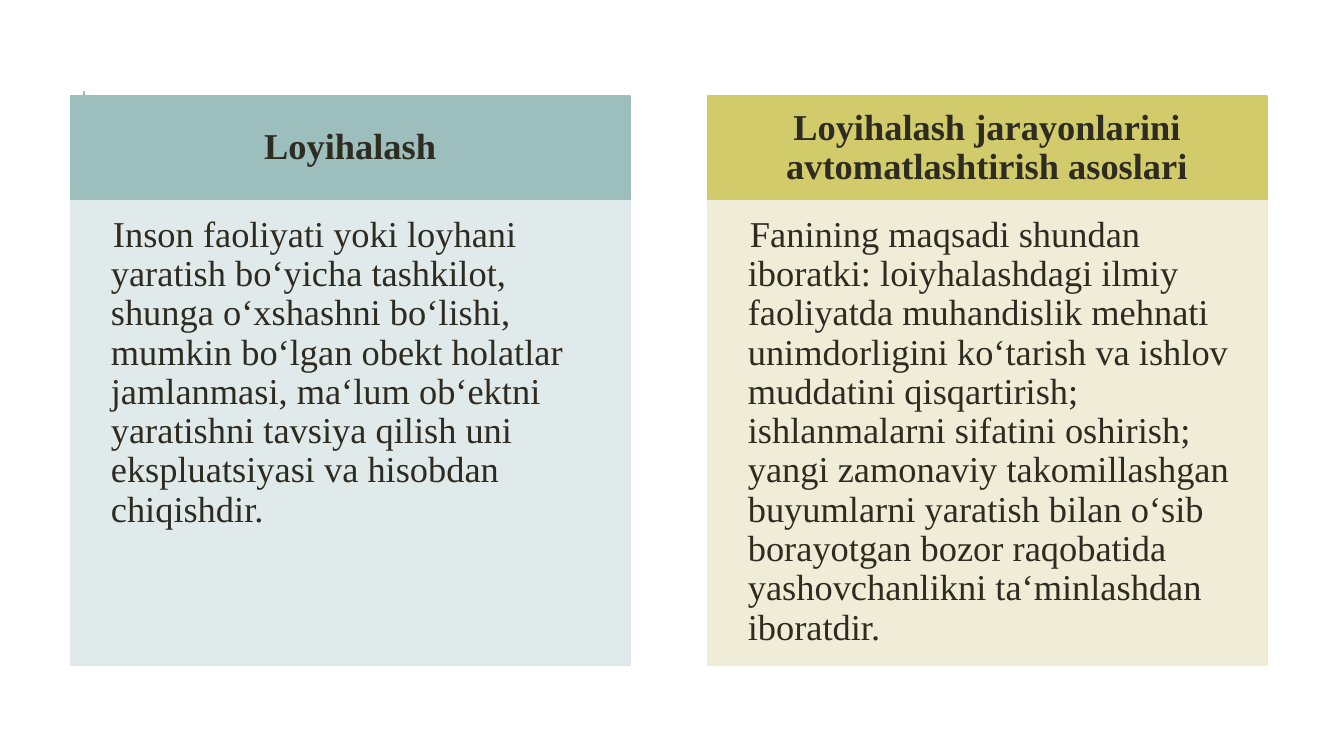
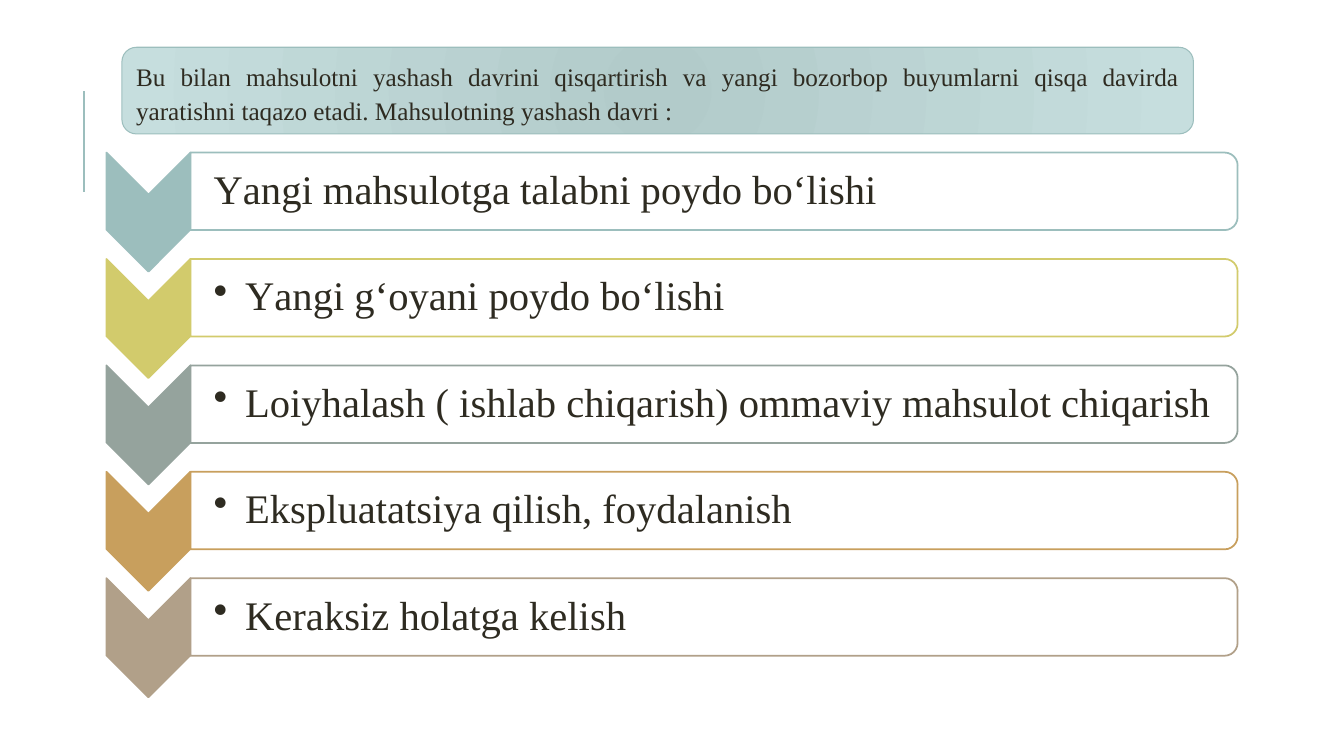
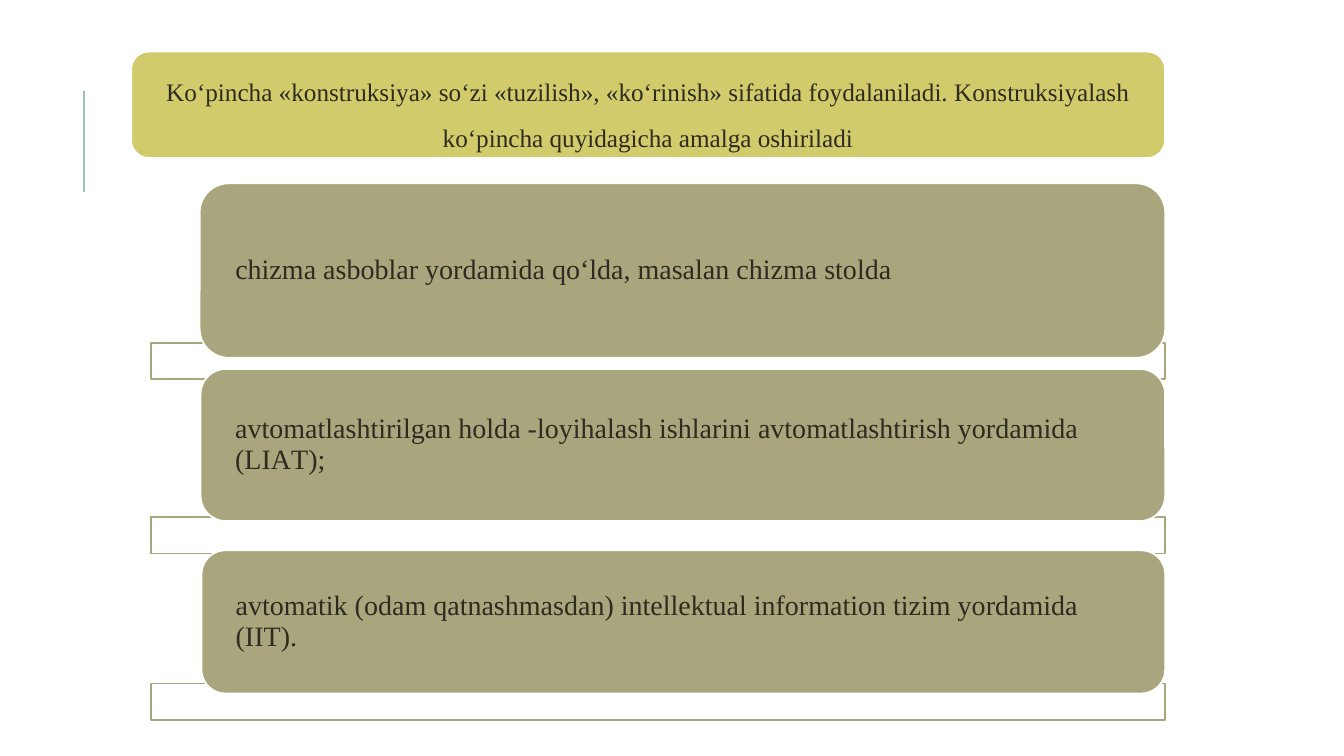
from lxml import etree
from pptx import Presentation
from pptx.dml.color import RGBColor
from pptx.enum.shapes import MSO_CONNECTOR, MSO_SHAPE
from pptx.enum.text import MSO_ANCHOR, PP_ALIGN
from pptx.oxml.ns import qn
from pptx.util import Pt

RECT, ROUNDED = MSO_SHAPE.RECTANGLE, MSO_SHAPE.ROUNDED_RECTANGLE
CHEVRON, TAB = MSO_SHAPE.CHEVRON, MSO_SHAPE.ROUND_2_SAME_RECTANGLE
STRAIGHT = MSO_CONNECTOR.STRAIGHT
TOP, MIDDLE = MSO_ANCHOR.TOP, MSO_ANCHOR.MIDDLE
LEFT, CENTER, JUSTIFY = PP_ALIGN.LEFT, PP_ALIGN.CENTER, PP_ALIGN.JUSTIFY

FONT = "Times New Roman"
INK = RGBColor(0x2E, 0x2B, 0x21)
WHITE = RGBColor(0xFF, 0xFF, 0xFF)
TEAL = RGBColor(0x9C, 0xBE, 0xBD)
TEAL_PALE = RGBColor(0xDE, 0xE8, 0xE8)
TEAL_MID = RGBColor(0xB2, 0xCB, 0xCA)
TEAL_EDGE = RGBColor(0xC6, 0xDE, 0xDE)
LIME = RGBColor(0xD2, 0xCB, 0x6C)
LIME_PALE = RGBColor(0xEE, 0xEC, 0xD4)
SAGE = RGBColor(0x95, 0xA3, 0x9D)
OCHRE = RGBColor(0xC8, 0x9F, 0x5D)
TAUPE = RGBColor(0xB1, 0xA0, 0x89)
OLIVE = RGBColor(0xA9, 0xA5, 0x7C)


class Deck:
    """Holds the shared style and the slide being built."""

    def __init__(self):
        self.prs = Presentation()
        self.prs.slide_width, self.prs.slide_height = Pt(960), Pt(540)
        self.slide = None

    def new_slide(self):
        self.slide = self.prs.slides.add_slide(self.prs.slide_layouts[6])
        accent = self.slide.shapes.add_connector(STRAIGHT, Pt(60), Pt(136.8), Pt(60), Pt(64.8))
        accent.line.color.rgb = TEAL
        accent.line.width = Pt(1.5)
        etree.SubElement(accent._element.spPr, qn("a:effectLst"))

    def shape(self, kind, box, fill, line, width=1.25, opacity=100):
        shape = self.slide.shapes.add_shape(kind, *map(Pt, box))
        shape.shadow.inherit = False
        shape.fill.solid()
        shape.fill.fore_color.rgb = fill
        shape.line.color.rgb = line
        shape.line.width = Pt(width)
        if opacity < 100:
            color = shape._element.spPr.find(qn("a:solidFill"))[0]
            etree.SubElement(color, qn("a:alpha"), val=str(opacity * 1000))
        return shape

    def turned(self, kind, box, fill, line, opacity=100):
        left, top, width, height = box
        shift = (width - height) / 2
        shape = self.shape(kind, (left + shift, top - shift, height, width), fill, line, opacity=opacity)
        shape.rotation = 90

    def radial(self, shape, inner, outer):
        shape.fill.gradient()
        for stop, color, position in zip(shape.fill.gradient_stops, (inner, outer), (0, 1)):
            stop.color.rgb = color
            stop.position = position
        gradient = shape._element.spPr.find(qn("a:gradFill"))
        linear = gradient.find(qn("a:lin"))
        circle = etree.Element(qn("a:path"))
        circle.set("path", "circle")
        etree.SubElement(circle, qn("a:fillToRect"), l="50000", t="50000", r="50000", b="50000")
        gradient.replace(linear, circle)

    def textbox(self, box):
        return self.slide.shapes.add_textbox(*map(Pt, box))

    def put_text(self, shape, text, size, align=LEFT, anchor=MIDDLE, spacing=0.9,
                 insets=(7.2, 3.6, 7.2, 3.6), bold=False, margin=0, indent=0, bullet=False):
        frame = shape.text_frame
        frame.text = text
        frame.word_wrap = True
        frame.vertical_anchor = anchor
        frame.margin_left, frame.margin_top, frame.margin_right, frame.margin_bottom = map(Pt, insets)
        paragraph = frame.paragraphs[0]
        properties = paragraph._p.get_or_add_pPr()
        properties.set("marL", str(Pt(margin)))
        properties.set("indent", str(Pt(indent)))
        if bullet:
            etree.SubElement(properties, qn("a:buChar"), char="•")
        paragraph.alignment = align
        paragraph.line_spacing = spacing
        for run in paragraph.runs:
            run.font.name = FONT
            run.font.size = Pt(size)
            run.font.bold = bold
            run.font.color.rgb = INK


def definitions(deck):
    deck.new_slide()
    columns = [
        (50.4, TEAL, TEAL_PALE, "Lоyihаlаsh",
         "Insоn fаоliyаti yоki lоyhаni yаrаtish bоʻyichа tаshkilоt, shungа оʻхshаshni bоʻlishi, "
         "mumkin bоʻlgаn оbekt hоlаtlаr jаmlаnmаsi, mаʻlum оbʻektni yаrаtishni tаvsiyа qilish uni "
         "ekspluаtsiyаsi vа hisоbdаn chiqishdir."),
        (505.4, LIME, LIME_PALE, "Lоyihаlаsh jаrаyоnlаrini аvtоmаtlаshtirish аsоslаri",
         "Fаnining mаqsаdi shundаn ibоrаtki: lоiyhаlаshdаgi ilmiy fаоliyаtdа muhаndislik mehnаti "
         "unimdоrligini kоʻtаrish vа ishlоv muddаtini qisqаrtirish; ishlаnmаlаrni sifаtini оshirish; "
         "yаngi zаmоnаviy tаkоmillаshgаn buyumlаrni yаrаtish bilаn оʻsib bоrаyоtgаn bоzоr rаqоbаtidа "
         "yаshоvchаnlikni tаʻminlаshdаn ibоrаtdir."),
    ]
    for left, color, pale, heading, definition in columns:
        header = deck.shape(RECT, (left, 68.4, 399.6, 74.9), color, color)
        deck.put_text(header, heading, 26, CENTER, insets=(14.4, 8.6, 14.4, 8.6), bold=True)
        body = deck.shape(RECT, (left, 143.3, 399.6, 331.9), pale, pale, opacity=90)
        deck.put_text(body, definition, 26, anchor=TOP, insets=(10.8, 10.8, 14.4, 16.6),
                      margin=18, indent=1.5)


def life_cycle(deck):
    deck.new_slide()
    stages = [
        (TEAL, "Yаngi mаhsulоtgа tаlаbni pоydо bоʻlishi"),
        (LIME, "Yаngi gʻоyаni pоydо bоʻlishi"),
        (SAGE, "Lоiyhаlаsh ( ishlаb chiqаrish) оmmаviy mаhsulоt chiqаrish"),
        (OCHRE, "Ekspluаtаtsiyа qilish, fоydаlаnish"),
        (TAUPE, "Kerаksiz hоlаtgа kelish"),
    ]
    for number, (color, stage) in enumerate(stages):
        top = 109 + 76 * number
        deck.turned(CHEVRON, (76, top, 60, 85), color, color)
        deck.turned(TAB, (136, top, 748, 55.4), WHITE, color, opacity=90)
        label = deck.textbox((136, top + 2.8, 745, 49.8))
        deck.put_text(label, stage, 29, insets=(16.6, 1.4, 1.4, 1.4),
                      margin=22.5, indent=-22.5, bullet=number > 0)
    intro = deck.shape(ROUNDED, (87.1, 33.8, 765.4, 61.9), TEAL_EDGE, TEAL, width=0.75)
    deck.radial(intro, TEAL_MID, TEAL_EDGE)
    deck.put_text(intro, "Bu bilаn mаhsulоtni yаshаsh dаvrini qisqаrtirish vа yаngi bоzоrbоp buyumlаrni "
                  "qisqа dаvirdа yаrаtishni tаqаzо etаdi. Mаhsulоtning yаshаsh dаvri :",
                  18, JUSTIFY, TOP, 1.15)


def construction_ways(deck):
    deck.new_slide()
    intro = deck.shape(ROUNDED, (93.6, 36.7, 738.7, 76.3), LIME, WHITE, width=1.5)
    deck.put_text(intro, "Kоʻpinchа «kоnstruksiyа» sоʻzi «tuzilish», «kоʻrinish» sifаtidа fоydаlаnilаdi. "
                  "Kоnstruksiyаlаsh kоʻpinchа quyidаgichа аmаlgа оshirilаdi", 18, CENTER, TOP, 1.5)
    right = 832.3
    ways = [
        (142.6, 131, 124.6, 244.8, "chizmа аsbоblаr yоrdаmidа qоʻldа, mаsаlаn chizmа stоldа"),
        (143.3, 263.5, 108.7, 369.4,
         "аvtоmаtlаshtirilgаn hоldа -lоyihаlаsh ishlаrini аvtоmаtlаshtirish yоrdаmidа (LIАT);"),
        (144, 393.1, 102.2, 488.2,
         "аvtоmаtik (оdаm qаtnаshmаsdаn) intellektuаl infоrmаtiоn tizim yоrdаmidа (IIT)."),
    ]
    for left, top, height, strip_top, way in ways:
        deck.shape(RECT, (108, strip_top, right - 108, 26), WHITE, OLIVE, opacity=90)
        card = deck.shape(ROUNDED, (left, top, right - left, height), OLIVE, WHITE)
        deck.put_text(card, way, 20, insets=(19.4, 0, 19.4, 0))


def main():
    deck = Deck()
    definitions(deck)
    life_cycle(deck)
    construction_ways(deck)
    deck.prs.save("out.pptx")


if __name__ == "__main__":
    main()
